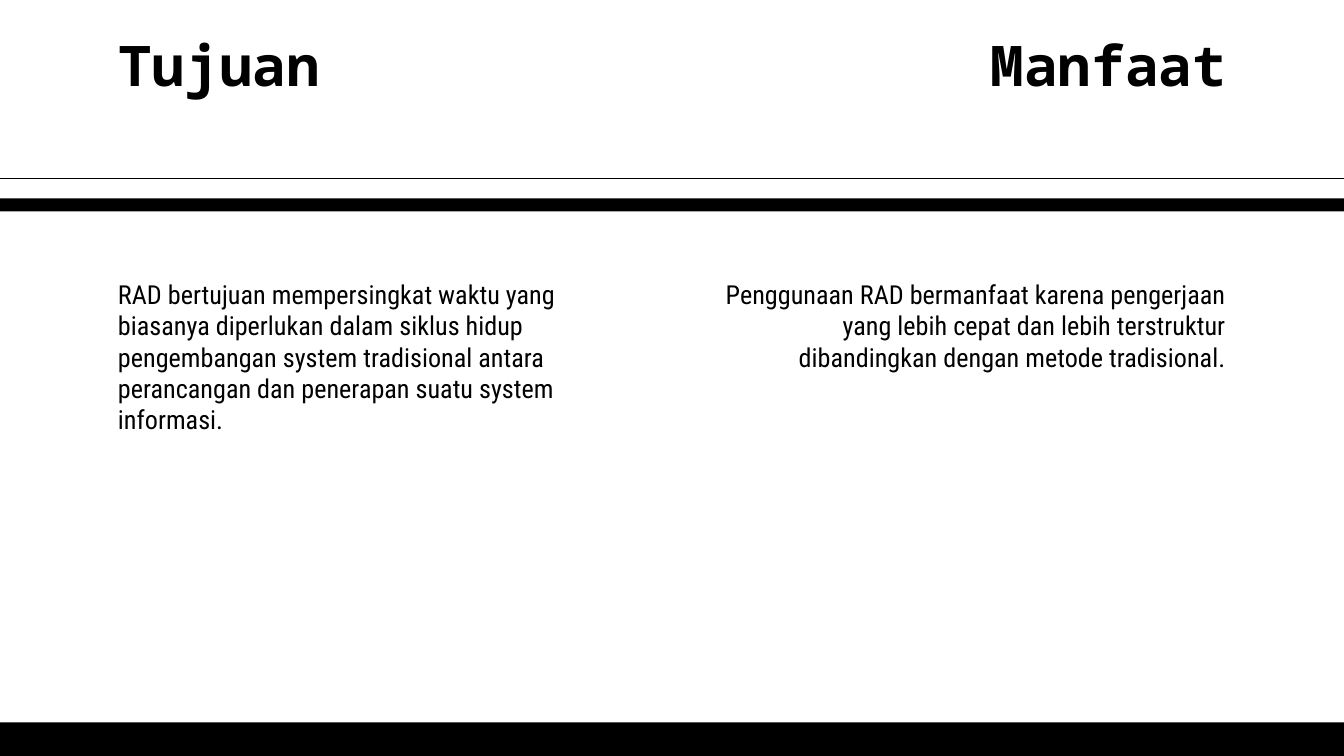
from pptx import Presentation
from pptx.dml.color import RGBColor
from pptx.enum.shapes import MSO_CONNECTOR, MSO_SHAPE
from pptx.enum.text import MSO_ANCHOR, MSO_AUTO_SIZE, PP_ALIGN
from pptx.oxml.ns import qn
from pptx.util import Pt
from lxml import etree

LEFT, RIGHT = PP_ALIGN.LEFT, PP_ALIGN.RIGHT
TOP = MSO_ANCHOR.TOP
NO_FIT = MSO_AUTO_SIZE.NONE
RECT = MSO_SHAPE.RECTANGLE
STRAIGHT = MSO_CONNECTOR.STRAIGHT

WIDTH, HEIGHT = 720, 405
MARGIN, COL_W, BOX_H = 56.16, 292.32, 81.36
HEAD_Y, BODY_Y = 9.36, 141.84
INSET = 7.2
BLACK, WHITE = "000000", "FFFFFF"
HEAD = {"font": "Noto Sans Mono", "size": 30, "bold": True}
BODY = {"font": "Roboto Condensed", "size": 14}


def color(value):
    """Return the colour for a hex string."""
    return RGBColor.from_string(value)


def put_text(sp, text, font, size, bold=False, align=LEFT, fill=BLACK):
    """Write one formatted paragraph into a shape."""
    tf = sp.text_frame
    tf.word_wrap = True
    tf.auto_size = NO_FIT
    tf.vertical_anchor = TOP
    tf.margin_left = tf.margin_right = Pt(INSET)
    tf.margin_top = tf.margin_bottom = Pt(INSET)
    p = tf.paragraphs[0]
    p.alignment = align
    r = p.add_run()
    r.text = text
    r.font.name = font
    r.font.size = Pt(size)
    r.font.bold = bold
    r.font.color.rgb = color(fill)


def add_bar(s, x, y, w, h):
    """Draw a solid black bar."""
    sp = s.shapes.add_shape(RECT, Pt(x), Pt(y), Pt(w), Pt(h))
    sp.shadow.inherit = False
    sp.fill.solid()
    sp.fill.fore_color.rgb = color(BLACK)
    sp.line.fill.background()


def add_divider(s, x, y, w):
    """Draw a thin rule with a thick bar below it."""
    line = s.shapes.add_connector(STRAIGHT, Pt(x - 1.5), Pt(y), Pt(x + w + 1.5), Pt(y))
    line.line.color.rgb = color(BLACK)
    line.line.width = Pt(0.75)
    etree.SubElement(line._element.spPr, qn("a:effectLst"))
    add_bar(s, x, y + 10.5, w, 7)


def add_column(s, x, w, heading, body, align, title=None):
    """Place a heading, in the title placeholder if given, and its body text."""
    head = title or s.shapes.add_textbox(0, 0, 0, 0)
    text = s.shapes.add_textbox(0, 0, 0, 0)
    for sp, y, content, style in ((head, HEAD_Y, heading, HEAD), (text, BODY_Y, body, BODY)):
        sp.left, sp.top, sp.width, sp.height = Pt(x), Pt(y), Pt(w), Pt(BOX_H)
        put_text(sp, content, align=align, **style)


def main():
    """Build the slide and save it."""
    prs = Presentation()
    prs.slide_width, prs.slide_height = Pt(WIDTH), Pt(HEIGHT)
    s = prs.slides.add_slide(prs.slide_layouts[5])
    s.background.fill.solid()
    s.background.fill.fore_color.rgb = color(WHITE)
    add_bar(s, 0, HEIGHT - 18, WIDTH, 18)
    add_column(
        s, MARGIN, COL_W, "Tujuan",
        "RAD bertujuan mempersingkat waktu yang biasanya diperlukan dalam siklus hidup "
        "pengembangan system tradisional antara perancangan dan penerapan suatu system informasi.",
        LEFT, s.shapes.title,
    )
    add_column(
        s, WIDTH - MARGIN - COL_W, COL_W, "Manfaat",
        "Penggunaan RAD bermanfaat karena pengerjaan yang lebih cepat dan lebih terstruktur "
        "dibandingkan dengan metode tradisional.",
        RIGHT,
    )
    add_divider(s, 0, 95.75, WIDTH)
    prs.save("out.pptx")


if __name__ == "__main__":
    main()
